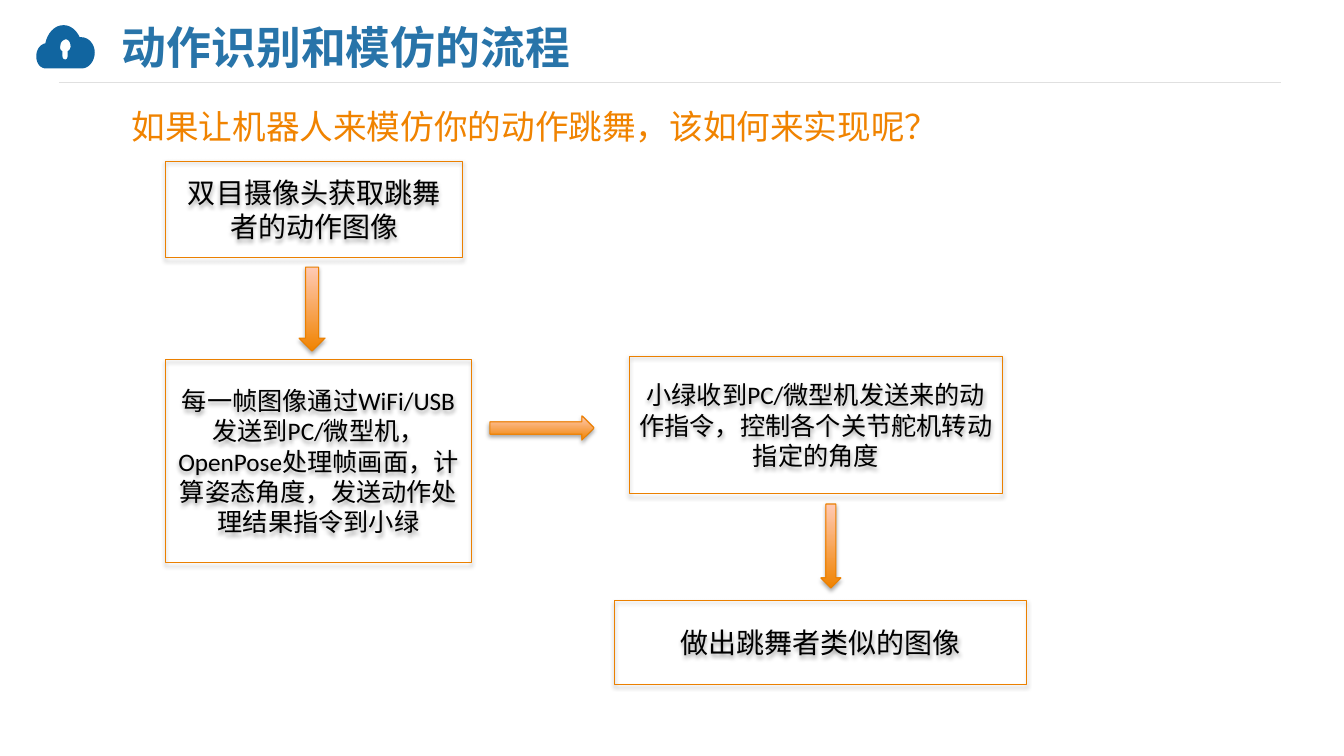
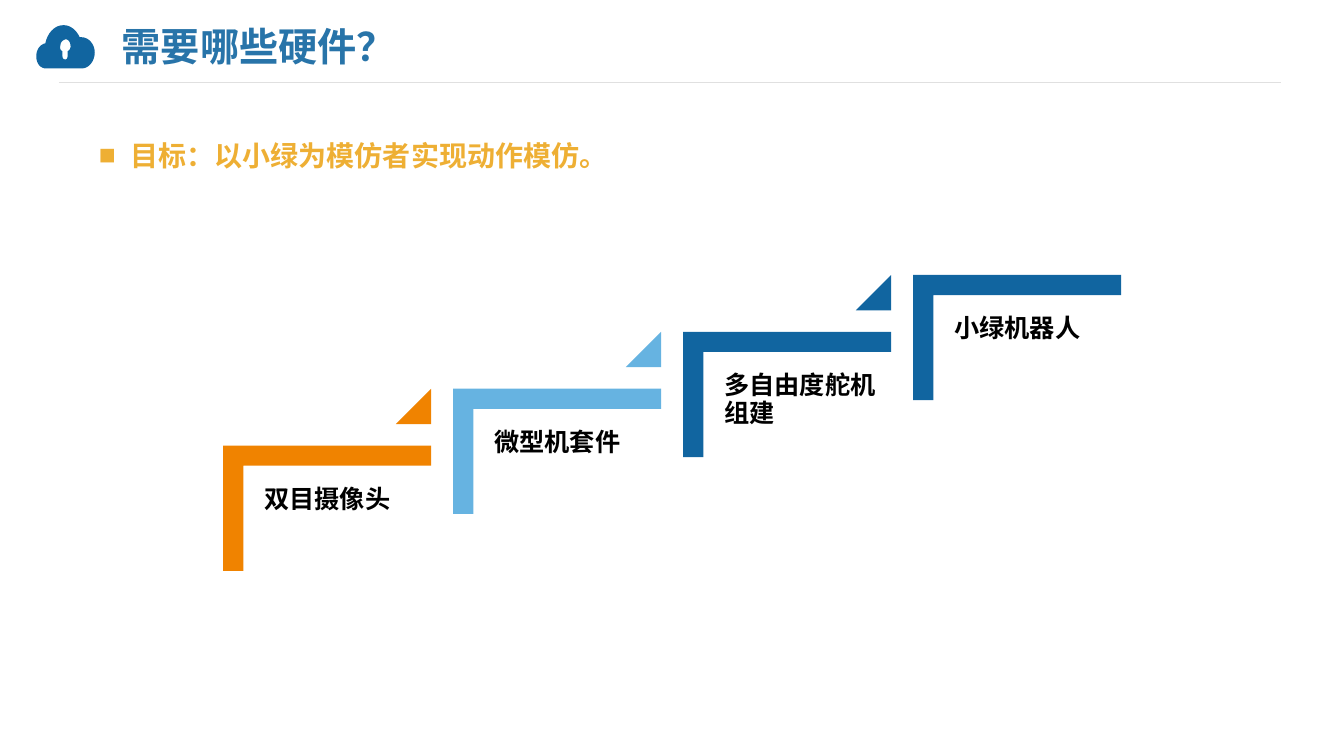
from dataclasses import dataclass

from lxml import etree
from pptx import Presentation
from pptx.dml.color import RGBColor
from pptx.enum.lang import MSO_LANGUAGE_ID
from pptx.enum.shapes import MSO_CONNECTOR, MSO_SHAPE
from pptx.enum.text import MSO_ANCHOR, PP_ALIGN
from pptx.oxml.ns import qn
from pptx.slide import Slide
from pptx.util import Emu, Inches, Pt

RECTANGLE = MSO_SHAPE.RECTANGLE
CORNER = MSO_SHAPE.CORNER
TRIANGLE = MSO_SHAPE.ISOSCELES_TRIANGLE
DOWN, RIGHT = MSO_SHAPE.DOWN_ARROW, MSO_SHAPE.RIGHT_ARROW
STRAIGHT = MSO_CONNECTOR.STRAIGHT
TOP, MIDDLE = MSO_ANCHOR.TOP, MSO_ANCHOR.MIDDLE
LEFT, CENTER = PP_ALIGN.LEFT, PP_ALIGN.CENTER
CHINESE = MSO_LANGUAGE_ID.SIMPLIFIED_CHINESE

# The page is a grid of square cells.
COLUMNS, ROWS = 160, 90
SLIDE_WIDTH, SLIDE_HEIGHT = Inches(13.33), Inches(7.5)
CELL = SLIDE_HEIGHT / ROWS

BLUE, TITLE_BLUE, SKY = "1165A0", "2874A9", "66B3E1"
ORANGE, EDGE, PEACH, AMBER = "F08300", "EB8000", "FFCAB5", "EEAF34"
BLACK, RULE_GRAY = "000000", "E0E0E0"
CJK, ARIAL, CALIBRI = "Noto Sans CJK SC", "Arial", "Calibri"

# Contours of the cloud icon: a start, then lines (1 point) or curves (3 points).
ICON_UNIT = 0.12
CURVE_STEPS = 8
CLOUD = [
    ((81, 37),),
    ((80, 37), (80, 37), (79, 37)),
    ((76, 30), (70, 25), (63, 25)),
    ((54, 25), (47, 33), (45, 43)),
    ((40, 44), (36, 49), (36, 56)),
    ((36, 63), (40, 68), (46, 68)),
    ((81, 68),),
    ((88, 68), (94, 61), (94, 52)),
    ((94, 44), (88, 37), (81, 37)),
]
KEYHOLE = [
    ((67, 51),),
    ((67, 56),),
    ((67, 58), (66, 59), (65, 59)),
    ((63, 59), (62, 58), (62, 56)),
    ((62, 51),),
    ((60, 50), (59, 48), (60, 45)),
    ((60, 42), (62, 40), (65, 39)),
    ((68, 39), (70, 42), (70, 46)),
    ((70, 48), (69, 50), (67, 51)),
]


@dataclass(frozen=True)
class Area:
    """A rectangle in grid cells."""
    column: float
    row: float
    columns: float
    rows: float

    def lengths(self) -> list[Emu]:
        return [cells(n) for n in (self.column, self.row, self.columns, self.rows)]


@dataclass(frozen=True)
class TextStyle:
    size: float
    color: str = BLACK
    font: str = CJK
    bold: bool = False
    align: PP_ALIGN = LEFT
    anchor: MSO_ANCHOR = TOP
    spacing: float | Pt = 1.0
    insets: tuple = (1.2, 0.6, 1.2, 0.6)


@dataclass(frozen=True)
class Stage:
    area: Area
    text: str
    style: TextStyle


@dataclass(frozen=True)
class Arrow:
    area: Area
    kind: MSO_SHAPE


@dataclass(frozen=True)
class Step:
    label: str
    color: str


LARGE_STAGE = TextStyle(20, font=ARIAL, align=CENTER, anchor=MIDDLE)
SMALL_STAGE = TextStyle(18, font=CALIBRI, align=CENTER, anchor=MIDDLE)
STEP_LABEL = TextStyle(18, bold=True, spacing=0.9, insets=(2.4, 2.4, 0, 0.84))
QUESTION = TextStyle(24, ORANGE, spacing=Pt(18))
GOAL = TextStyle(20, AMBER, CALIBRI, bold=True, spacing=1.5)

STAGES = [
    Stage(Area(19.7, 19.2, 35.4, 11.5), "双目摄像头获取跳舞者的动作图像", LARGE_STAGE),
    Stage(Area(19.7, 42.8, 36.4, 24.2),
          "每一帧图像通过WiFi/USB发送到PC/微型机，OpenPose处理帧画面，"
          "计算姿态角度，发送动作处理结果指令到小绿", SMALL_STAGE),
    Stage(Area(74.9, 42.4, 44.4, 16.4),
          "小绿收到PC/微型机发送来的动作指令，控制各个关节舵机转动指定的角度", SMALL_STAGE),
    Stage(Area(73.1, 71.5, 49.1, 10), "做出跳舞者类似的图像", LARGE_STAGE),
]
ARROWS = [
    Arrow(Area(35.6, 31.8, 3.1, 10), DOWN),
    Arrow(Area(58.3, 49.5, 12.4, 2.9), RIGHT),
    Arrow(Area(97.7, 60, 2.4, 10), DOWN),
]
STEPS = [
    Step("双目摄像头", ORANGE),
    Step("微型机套件", SKY),
    Step("多自由度舵机组建", BLUE),
    Step("小绿机器人", BLUE),
]
FIRST_STEP = Area(26.55, 53.05, 24.75, 14.9)
STEP_RUN, STEP_RISE = 27.38, 6.77
STEP_THICKNESS = 0.161


def cells(count: float) -> Emu:
    return Emu(round(count * CELL))


def rgb(color: str) -> RGBColor:
    return RGBColor.from_string(color)


def write(box, text: str, style: TextStyle):
    """Fill a box with one styled paragraph and return the paragraph."""
    frame = box.text_frame
    frame.word_wrap = True
    frame.vertical_anchor = style.anchor
    (frame.margin_left, frame.margin_top,
     frame.margin_right, frame.margin_bottom) = map(cells, style.insets)
    para = frame.paragraphs[0]
    para.alignment = style.align
    para.line_spacing = style.spacing
    span = para.add_run()
    span.text = text
    font = span.font
    font.size, font.bold, font.name = Pt(style.size), style.bold, style.font
    font.language_id = CHINESE
    font.color.rgb = rgb(style.color)
    east_asian = etree.Element(qn("a:ea"), typeface=CJK)
    span._r.rPr.find(qn("a:latin")).addnext(east_asian)
    return para


def add_text(page: Slide, area: Area, text: str, style: TextStyle):
    return write(page.shapes.add_textbox(*area.lengths()), text, style)


def paint(shape, color: str) -> None:
    """Give a shape a plain fill without line or shadow."""
    shape.shadow.inherit = False
    shape.fill.solid()
    shape.fill.fore_color.rgb = rgb(color)
    shape.line.fill.background()


def add_flow_shape(page: Slide, kind: MSO_SHAPE, area: Area):
    """Add an orange-edged shape with a soft shadow below it."""
    shape = page.shapes.add_shape(kind, *area.lengths())
    shape.line.color.rgb = rgb(EDGE)
    shape.line.width = Pt(0.75)
    shape.shadow.inherit = False
    effects = shape._element.spPr.find(qn("a:effectLst"))
    shadow = etree.SubElement(
        effects, qn("a:outerShdw"), blurRad=str(Pt(3.1)), dist=str(Pt(1.8)),
        dir="5400000", rotWithShape="0")
    shade = etree.SubElement(shadow, qn("a:srgbClr"), val=BLACK)
    etree.SubElement(shade, qn("a:alpha"), val="35000")
    return shape


def add_stage(page: Slide, stage: Stage) -> None:
    box = add_flow_shape(page, RECTANGLE, stage.area)
    box.fill.background()
    write(box, stage.text, stage.style)


def add_arrow(page: Slide, arrow: Arrow) -> None:
    fill = add_flow_shape(page, arrow.kind, arrow.area).fill
    fill.gradient()
    fill.gradient_angle = 90
    for stop, position, color in zip(fill.gradient_stops, (0, 1), (ORANGE, PEACH)):
        stop.position = position
        stop.color.rgb = rgb(color)


def trace(contour: list) -> list[tuple[Emu, Emu]]:
    """Turn a contour's lines and cubic curves into a polygon."""
    points = [contour[0][0]]
    for segment in contour[1:]:
        if len(segment) == 1:
            points.append(segment[0])
            continue
        controls = (points[-1], *segment)
        for step in range(1, CURVE_STEPS + 1):
            t = step / CURVE_STEPS
            weights = ((1 - t) ** 3, 3 * t * (1 - t) ** 2, 3 * t * t * (1 - t), t ** 3)
            points.append(tuple(sum(w * point[axis] for w, point in zip(weights, controls))
                                for axis in (0, 1)))
    return [(cells(x * ICON_UNIT), cells(y * ICON_UNIT)) for x, y in points]


def add_cloud_icon(page: Slide) -> None:
    cloud, keyhole = trace(CLOUD), trace(KEYHOLE)
    builder = page.shapes.build_freeform(*cloud[0], scale=1.0)
    builder.add_line_segments(cloud[1:], close=True)
    builder.move_to(*keyhole[0])
    builder.add_line_segments(keyhole[1:], close=True)
    paint(builder.convert_to_shape(), BLUE)


def add_page(deck, title: str, title_size: float) -> Slide:
    """Add a blank page with the shared rule, icon and title."""
    page = deck.slides.add_slide(deck.slide_layouts[6])
    rule = page.shapes.add_connector(
        STRAIGHT, cells(7), cells(9.85), cells(152.5), cells(9.85))
    rule.line.color.rgb = rgb(RULE_GRAY)
    rule.line.width = Pt(0.75)
    etree.SubElement(rule._element.spPr, qn("a:effectLst"))
    add_cloud_icon(page)
    style = TextStyle(title_size, TITLE_BLUE, bold=True, anchor=MIDDLE,
                      insets=(0, 0, 0, 0))
    add_text(page, Area(14.5, 2.4, 106.7, 6.2), title, style)
    return page


def add_step(page: Slide, index: int, step: Step) -> None:
    left = FIRST_STEP.column + index * STEP_RUN
    top = FIRST_STEP.row - index * STEP_RISE
    width, height = FIRST_STEP.columns, FIRST_STEP.rows
    # The corner is turned a quarter, so its sides swap around the same centre.
    shift = (width - height) / 2
    corner = page.shapes.add_shape(
        CORNER, *Area(left + shift, top - shift, height, width).lengths())
    corner.rotation = 90
    for side in (0, 1):
        corner.adjustments[side] = STEP_THICKNESS
    paint(corner, step.color)
    add_text(page, Area(left + 2.5, top + 2.5, 22.3, 19.6), step.label, STEP_LABEL)
    if index < len(STEPS) - 1:
        size = 4.2
        triangle = page.shapes.add_shape(
            TRIANGLE, *Area(left + width - size, top - STEP_RISE, size, size).lengths())
        triangle.adjustments[0] = 1
        paint(triangle, step.color)


def add_square_bullet(para) -> None:
    properties = para._p.get_or_add_pPr()
    properties.set("marL", str(cells(3.75)))
    properties.set("indent", str(cells(-3.75)))
    etree.SubElement(properties, qn("a:buFont"), typeface=ARIAL)
    etree.SubElement(properties, qn("a:buChar"), char="■")


def build_flow_page(deck) -> None:
    page = add_page(deck, "动作识别和模仿的流程", 32)
    for stage in STAGES:
        add_stage(page, stage)
    for arrow in ARROWS:
        add_arrow(page, arrow)
    add_text(page, Area(14.5, 13.8, 110.2, 4.2),
             "如果让机器人来模仿你的动作跳舞，该如何来实现呢？", QUESTION)


def build_hardware_page(deck) -> None:
    page = add_page(deck, "需要哪些硬件？", 28)
    for index, step in enumerate(STEPS):
        add_step(page, index, step)
    goal = add_text(page, Area(10.6, 13.9, 122.3, 6.6),
                    "目标：以小绿为模仿者实现动作模仿。", GOAL)
    add_square_bullet(goal)


def main() -> None:
    deck = Presentation()
    deck.slide_width, deck.slide_height = SLIDE_WIDTH, SLIDE_HEIGHT
    build_flow_page(deck)
    build_hardware_page(deck)
    deck.save("out.pptx")


if __name__ == "__main__":
    main()
